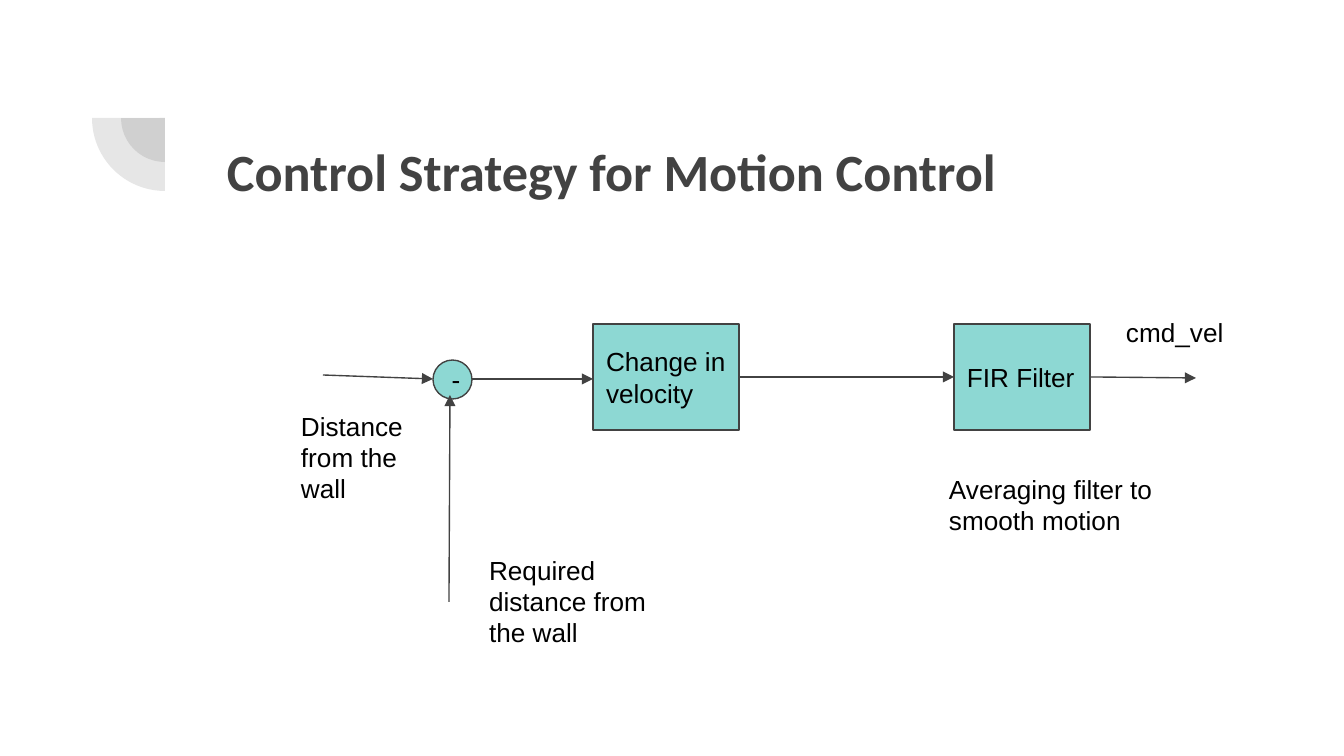
from lxml.etree import SubElement
from pptx import Presentation
from pptx.dml.color import RGBColor
from pptx.enum.shapes import MSO_CONNECTOR, MSO_SHAPE
from pptx.enum.text import MSO_ANCHOR, MSO_AUTO_SIZE, PP_ALIGN
from pptx.oxml.ns import qn
from pptx.util import Emu, Pt

GREY = RGBColor(0x42, 0x42, 0x42)
TEAL = RGBColor(0x8D, 0xD8, 0xD3)
BLACK = RGBColor(0, 0, 0)

WIDTH, HEIGHT = 1344, 756
PX = 9144000 / WIDTH
INSET = 13

TITLE = ("Control Strategy for Motion Control", (214, 126, 1034, 147))
CORNER = (165, 118)  # shared centre of the quarter discs
RADII = [44, 73]
OPACITY = 13

# text, preset, (left, top, width, height)
BLOCKS = [
    ("-", MSO_SHAPE.FLOWCHART_CONNECTOR, (433, 360, 39, 39)),
    ("Change in velocity", MSO_SHAPE.RECTANGLE, (593, 324, 146, 106)),
    ("FIR Filter", MSO_SHAPE.RECTANGLE, (954, 324, 136, 106)),
]
LABELS = [
    ("Distance from the wall", (288, 397, 136, 46)),
    ("cmd_vel", (1113, 303, 136, 46)),
    ("Required distance from the wall", (476, 541, 190, 105)),
    ("Averaging filter to smooth motion", (936, 460, 231, 79)),
]
# from x, from y, to x, to y
ARROWS = [
    (323, 375, 433, 379),
    (472, 379, 593, 379),
    (449, 602, 450, 395),
    (739, 377, 954, 377),
    (1090, 377, 1196, 378),
]


def emu(*lengths):
    return [Emu(round(length * PX)) for length in lengths]


def write(frame, text, anchor, font="Arial", size=14, color=BLACK, bold=False):
    frame.word_wrap = True
    frame.auto_size = MSO_AUTO_SIZE.NONE
    frame.vertical_anchor = anchor
    (inset,) = emu(INSET)
    frame.margin_left = frame.margin_right = inset
    frame.margin_top = frame.margin_bottom = inset
    para = frame.paragraphs[0]
    para.alignment = PP_ALIGN.LEFT
    span = para.add_run()
    span.text = text
    span.font.name = font
    span.font.size = Pt(size)
    span.font.bold = bold
    span.font.color.rgb = color


def add_filled(page, preset, place, color):
    shape = page.shapes.add_shape(preset, *emu(*place))
    shape.shadow.inherit = False
    shape.fill.solid()
    shape.fill.fore_color.rgb = color
    return shape


def add_quarter_disc(page, radius):
    x, y = CORNER
    place = (x - radius, y - radius, 2 * radius, 2 * radius)
    disc = add_filled(page, MSO_SHAPE.PIE, place, GREY)
    disc.line.fill.background()
    # Pie angles, 90 and 180 degrees, in 60000ths of a degree over 100000
    disc.adjustments[0], disc.adjustments[1] = 54, 108
    color = disc.fill._xPr.find(".//" + qn("a:srgbClr"))
    SubElement(color, qn("a:alpha"), val=str(OPACITY * 1000))


def add_block(page, text, preset, place):
    block = add_filled(page, preset, place, TEAL)
    block.line.color.rgb = GREY
    block.line.width = Pt(0.75)
    write(block.text_frame, text, MSO_ANCHOR.MIDDLE)


def add_arrow(page, ends):
    arrow = page.shapes.add_connector(MSO_CONNECTOR.STRAIGHT, *emu(*ends))
    arrow.line.color.rgb = GREY
    arrow.line.width = Pt(0.75)
    SubElement(arrow.line._get_or_add_ln(), qn("a:tailEnd"), type="triangle")
    SubElement(arrow._element.spPr, qn("a:effectLst"))


def main():
    deck = Presentation()
    deck.slide_width, deck.slide_height = emu(WIDTH, HEIGHT)
    page = deck.slides.add_slide(deck.slide_layouts[5])

    for radius in RADII:
        add_quarter_disc(page, radius)

    text, place = TITLE
    title = page.shapes.title
    title.left, title.top, title.width, title.height = emu(*place)
    write(title.text_frame, text, MSO_ANCHOR.TOP, "Calibri", 28, GREY, True)

    for block in BLOCKS:
        add_block(page, *block)
    for ends in ARROWS:
        add_arrow(page, ends)
    for text, place in LABELS:
        box = page.shapes.add_textbox(*emu(*place))
        write(box.text_frame, text, MSO_ANCHOR.TOP)

    deck.save("out.pptx")


if __name__ == "__main__":
    main()
